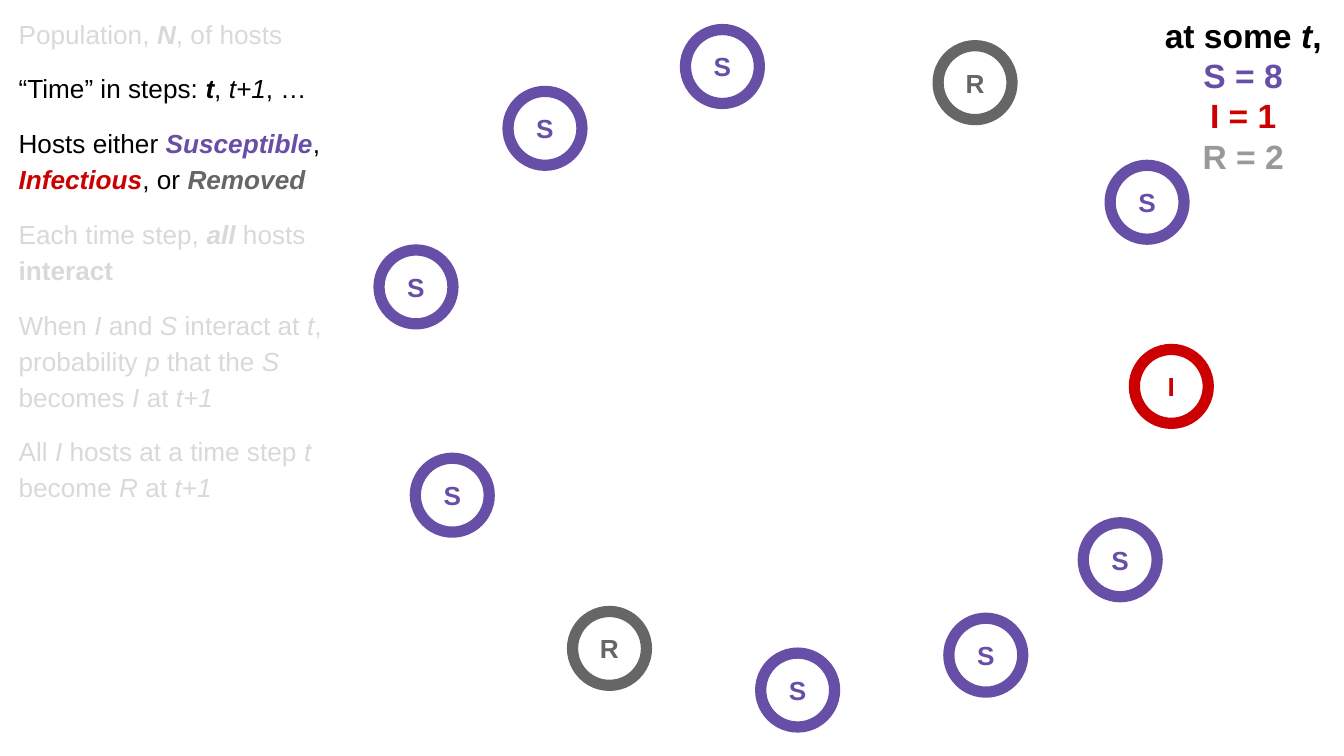
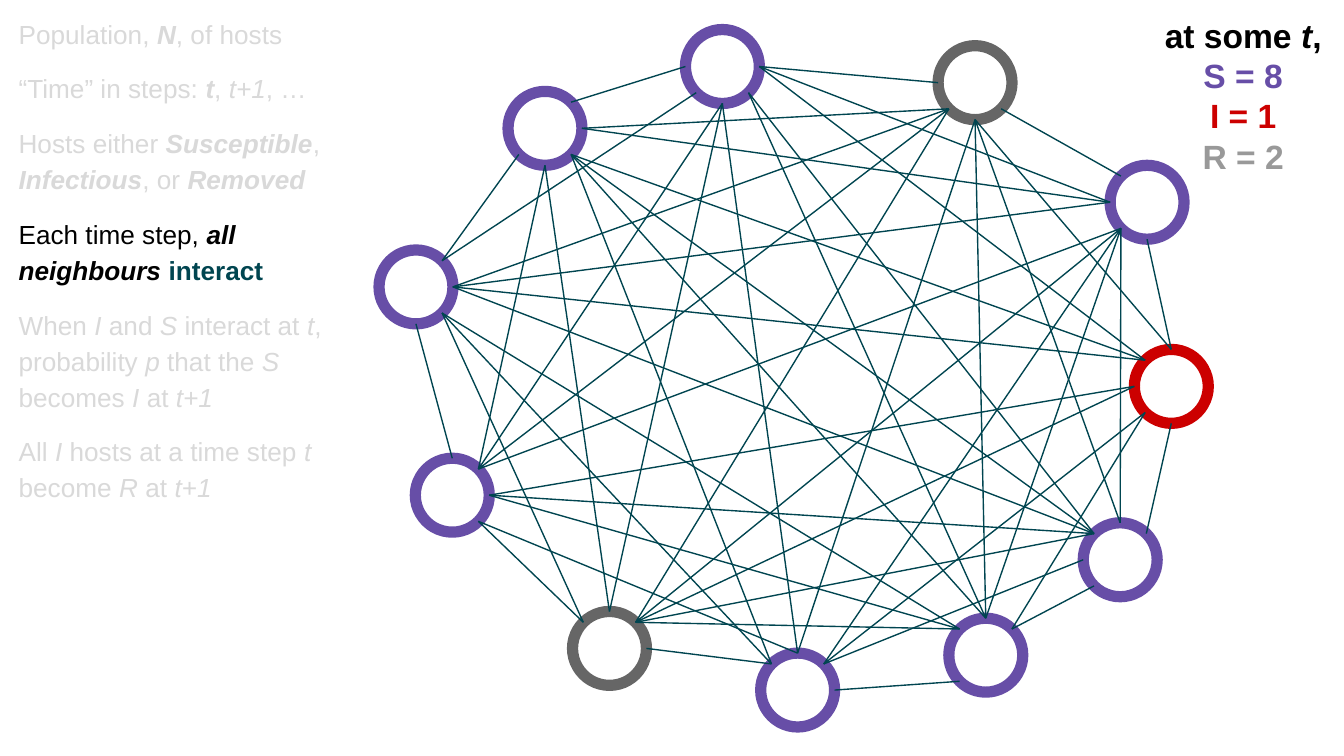
"""Build two slides on a host population model: its states, then its interactions."""
from itertools import combinations
from math import cos, pi, sin

from lxml.etree import SubElement
from pptx import Presentation
from pptx.dml.color import RGBColor
from pptx.enum.shapes import MSO_CONNECTOR, MSO_SHAPE
from pptx.enum.text import MSO_ANCHOR, MSO_AUTO_SIZE, PP_ALIGN
from pptx.oxml.ns import qn
from pptx.util import Inches, Pt

COLORS = {
    "text": "000000",
    "faded": "D9D9D9",
    "white": "FFFFFF",
    "S": "674EA7",
    "I": "CC0000",
    "R": "666666",
    "removed count": "999999",
    "interact": "004550",
}
FONT = "Arial"
DIAMETER = 0.55
RADIUS = DIAMETER / 2

HOSTS = [
    ("S", 5.1, 0.22), ("S", 3.78, 0.68), ("S", 2.82, 1.86), ("S", 3.09, 3.41),
    ("R", 4.26, 4.55), ("S", 5.66, 4.86), ("S", 7.06, 4.6), ("S", 8.06, 3.89),
    ("I", 8.44, 2.6), ("S", 8.26, 1.23), ("R", 6.98, 0.34),
]

# Start and end site of each host pair, in eighths of a turn counterclockwise from the top.
PAIR_SITES = (
    "27 37 47 40 40 50 51 61 62 62 "
    "37 47 40 51 50 51 51 62 63 "
    "40 51 51 51 61 61 62 63 "
    "51 50 61 61 62 73 73 "
    "61 71 71 72 73 73 "
    "63 72 73 73 04 "
    "73 73 03 04 "
    "74 03 04 "
    "04 04 "
    "15"
).split()

COUNTS = [
    [("at some ", "b", "text"), ("t", "bi", "text"), (",", "b", "text")],
    [("S = 8", "b", "S")],
    [("I = 1", "b", "I")],
    [("R = 2", "b", "removed count")],
]

RULES = [
    [("Population, ", "", "text"), ("N", "bi", "text"), (", of hosts", "", "text")],
    [("“Time” in steps: ", "", "text"), ("t", "bi", "text"), (", ", "", "text"),
     ("t+1", "i", "text"), (", …", "", "text")],
    [("Hosts either ", "", "text"), ("Susceptible", "bi", "S"), (", ", "", "text"),
     ("Infectious", "bi", "I"), (", or ", "", "text"), ("Removed", "bi", "R")],
    [],
    [("When ", "", "text"), ("I", "i", "text"), (" and ", "", "text"), ("S", "i", "text"),
     (" interact at ", "", "text"), ("t", "i", "text"), (", probability ", "", "text"),
     ("p", "i", "text"), (" that the ", "", "text"), ("S", "i", "text"),
     (" becomes ", "", "text"), ("I", "i", "text"), (" at ", "", "text"),
     ("t+1", "i", "text")],
    [("All ", "", "text"), ("I", "i", "text"), (" hosts at a time step ", "", "text"),
     ("t", "i", "text"), (" become ", "", "text"), ("R", "i", "text"),
     (" at ", "", "text"), ("t+1", "i", "text")],
]
INTERACTION_RULE = 3

SLIDES = [
    {
        "active": {1, 2},
        "interaction": [("Each time step, ", "", "text"), ("all", "bi", "text"),
                        (" hosts ", "", "text"), ("interact", "b", "text")],
        "letters": True,
        "links": False,
        "rules height": 3.85,
    },
    {
        "active": {INTERACTION_RULE},
        "interaction": [("Each time step, ", "", "text"),
                        ("all neighbours ", "bi", "text"), ("interact", "b", "interact")],
        "letters": False,
        "links": True,
        "rules height": 4.02,
    },
]


def add_span(para, text, style, color, size):
    span = para.add_run()
    span.text = text
    span.font.name = FONT
    span.font.size = Pt(size)
    span.font.bold = "b" in style
    span.font.italic = "i" in style
    span.font.color.rgb = RGBColor.from_string(COLORS[color])


def add_text(page, left, top, width, height, paragraphs, size):
    box = page.shapes.add_textbox(Inches(left), Inches(top), Inches(width), Inches(height))
    frame = box.text_frame
    frame.word_wrap = True
    frame.auto_size = MSO_AUTO_SIZE.SHAPE_TO_FIT_TEXT
    frame.margin_left = frame.margin_right = Inches(0.1)
    frame.margin_top = frame.margin_bottom = Inches(0.1)
    for number, spans in enumerate(paragraphs):
        para = frame.add_paragraph() if number else frame.paragraphs[0]
        for text, style, color in spans:
            add_span(para, text, style, color, size)
    return frame.paragraphs


deck = Presentation()
deck.slide_width = Inches(10)
deck.slide_height = Inches(5.625)
blank_layout = deck.slide_layouts[6]

for content in SLIDES:
    page = deck.slides.add_slide(blank_layout)

    network = page.shapes.add_group_shape()
    for state, left, top in HOSTS:
        host = network.shapes.add_shape(
            MSO_SHAPE.OVAL, Inches(left), Inches(top), Inches(DIAMETER), Inches(DIAMETER))
        host.shadow.inherit = False
        host.fill.solid()
        host.fill.fore_color.rgb = RGBColor.from_string(COLORS["white"])
        host.line.color.rgb = RGBColor.from_string(COLORS[state])
        host.line.width = Pt(6)
        if content["letters"]:
            frame = host.text_frame
            frame.margin_left = frame.margin_right = Inches(0.1)
            frame.margin_top = frame.margin_bottom = Inches(0.1)
            frame.vertical_anchor = MSO_ANCHOR.MIDDLE
            frame.paragraphs[0].alignment = PP_ALIGN.CENTER
            add_span(frame.paragraphs[0], state, "b", state, 14)

    if content["links"]:
        for pair, sites in zip(combinations(HOSTS, 2), PAIR_SITES):
            ends = []
            for (state, left, top), site in zip(pair, sites):
                angle = int(site) * pi / 4
                ends.append(Inches(left + RADIUS * (1 - sin(angle))))
                ends.append(Inches(top + RADIUS * (1 - cos(angle))))
            link = network.shapes.add_connector(MSO_CONNECTOR.STRAIGHT, *ends)
            link.line.color.rgb = RGBColor.from_string(COLORS["interact"])
            link.line.width = Pt(0.75)
            SubElement(link._element.spPr, qn("a:effectLst"))

    for para in add_text(page, 8.5, 0.01, 1.5, 1.41, COUNTS, 18):
        para.alignment = PP_ALIGN.CENTER

    rules = []
    for number, spans in enumerate(RULES):
        if number == INTERACTION_RULE:
            spans = content["interaction"]
        if number not in content["active"]:
            spans = [(text, style, "faded") for text, style, color in spans]
        rules.append(spans)
    paragraphs = add_text(page, 0.04, 0, 2.65, content["rules height"], rules, 14)
    for number, para in enumerate(paragraphs):
        para.line_spacing = 1.15
        para.space_before = Pt(10 if number else 0)
    paragraphs[-1].space_after = Pt(10)

deck.save("out.pptx")
